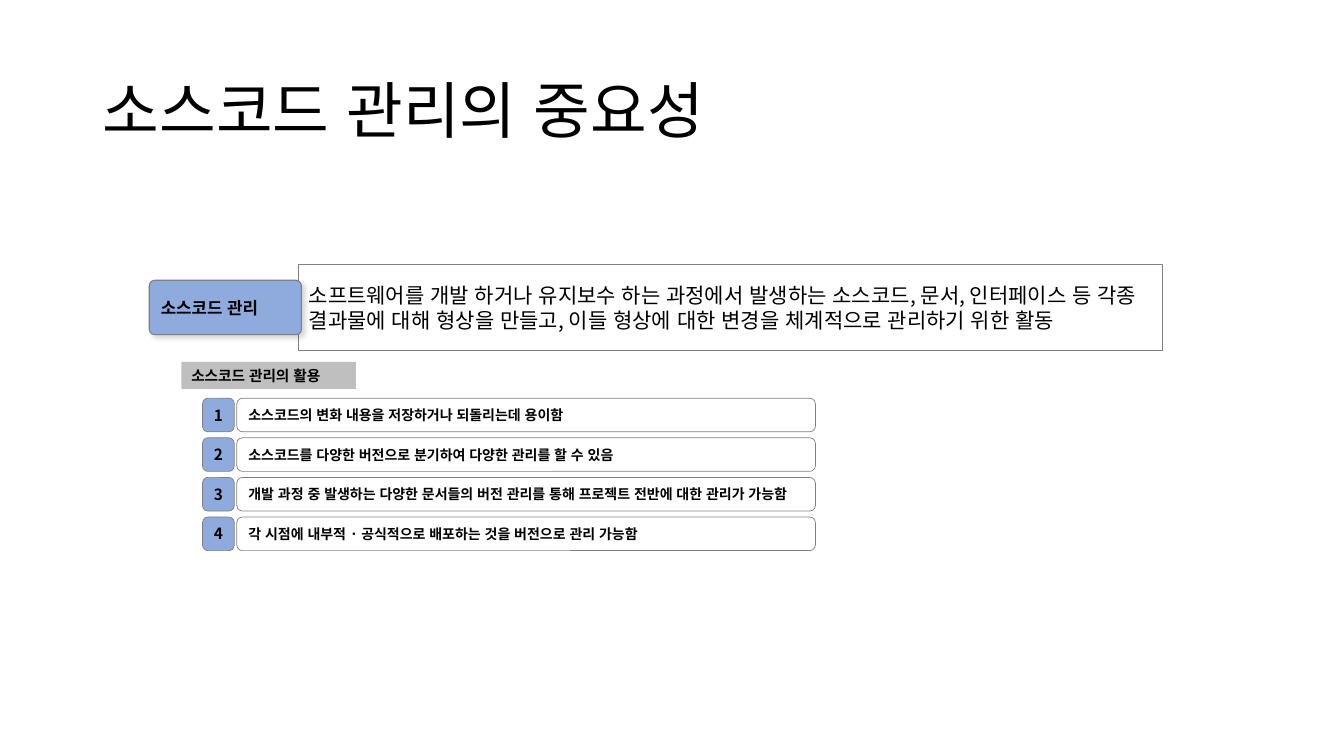
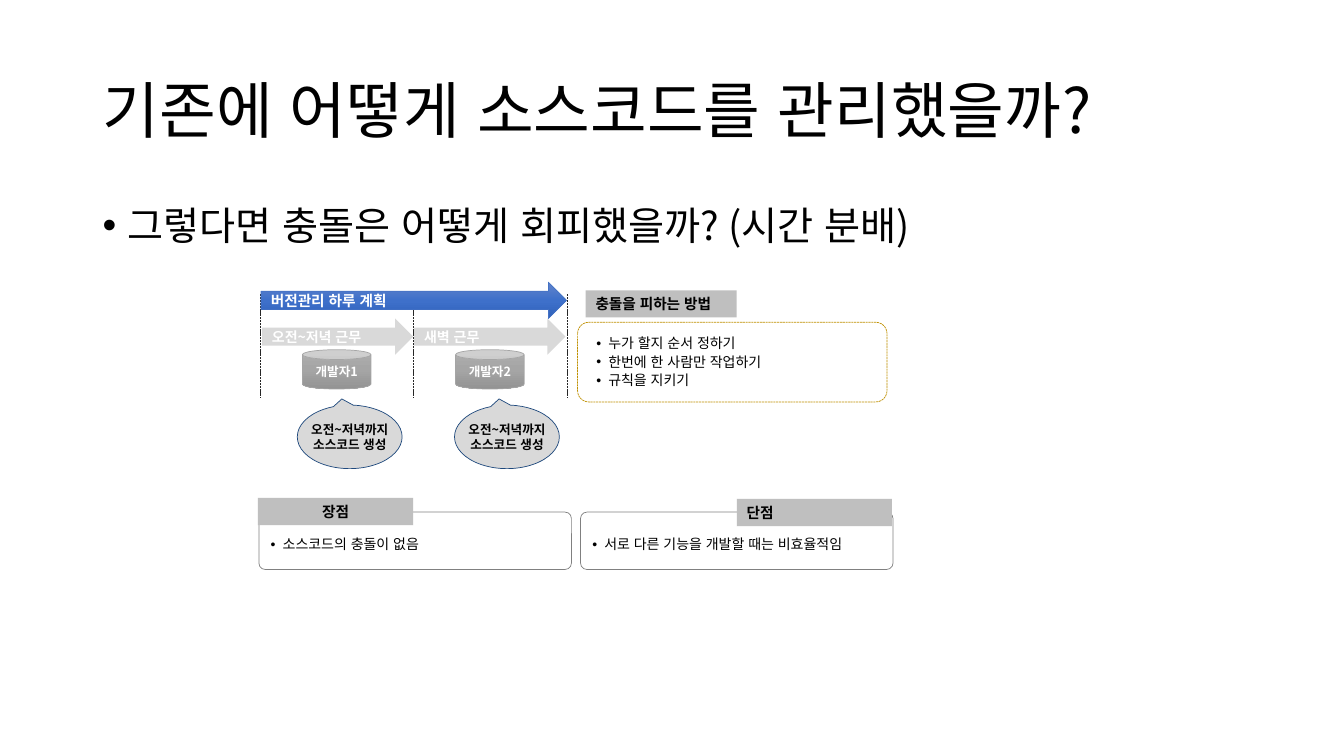
from copy import deepcopy

from lxml.etree import SubElement
from pptx import Presentation
from pptx.dml.color import RGBColor
from pptx.enum.dml import MSO_LINE
from pptx.enum.lang import MSO_LANGUAGE_ID
from pptx.enum.shapes import MSO_CONNECTOR, MSO_SHAPE
from pptx.enum.text import MSO_ANCHOR, MSO_AUTO_SIZE, PP_ALIGN
from pptx.oxml.ns import qn
from pptx.util import Pt

FONT = "Noto Sans CJK KR"
COLORS = {
    "black": "000000", "white": "FFFFFF", "blue": "8FAADC", "outline": "808080",
    "heading": "BFBFBF", "pale": "D9D9D9", "gold": "BF9000", "navy": "1F497D",
    "guide": "262626", "can_line": "A5A5A5", "arrow_line": "4472C4",
}
CAN_GRADIENT = ("AFAFAF", "A5A5A5", "939393")
ARROW_GRADIENT = ("6183CB", "3E70CA", "3062BB")

IMPORTANCE = {
    "title": "소스코드 관리의 중요성",
    "term": "소스코드 관리",
    "definition": "소프트웨어를 개발 하거나 유지보수 하는 과정에서 발생하는 소스코드, 문서, "
                  "인터페이스 등 각종 결과물에 대해 형상을 만들고, 이들 형상에 대한 변경을 "
                  "체계적으로 관리하기 위한 활동",
    "heading": "소스코드 관리의 활용",
    "uses": [
        "소스코드의 변화 내용을 저장하거나 되돌리는데 용이함",
        "소스코드를 다양한 버전으로 분기하여 다양한 관리를 할 수 있음",
        "개발 과정 중 발생하는 다양한 문서들의 버전 관리를 통해 프로젝트 전반에 대한 관리가 가능함",
        "각 시점에 내부적 · 공식적으로 배포하는 것을 버전으로 관리 가능함",
    ],
}
HISTORY = {
    "title": "기존에 어떻게 소스코드를 관리했을까?",
    "question": "그렇다면 충돌은 어떻게 회피했을까? (시간 분배)",
    "plan": "버전관리 하루 계획",
    "heading": "충돌을 피하는 방법",
    "rules": ["누가 할지 순서 정하기", "한번에 한 사람만 작업하기", "규칙을 지키기"],
    "output": ["오전~저녁까지", "소스코드 생성"],
    # shift, developer, left edges of arrow, can and callout
    "shifts": [("오전~저녁 근무", "개발자1", 187.2, 216, 212.4),
               ("새벽 근무", "개발자2", 295.9, 325.4, 324.7)],
    # tab, point, left edge of box, left and top of tab, tab alignment
    "verdicts": [("장점", "소스코드의 충돌이 없음", 185, 184.3, 355.7, PP_ALIGN.CENTER),
                 ("단점", "서로 다른 기능을 개발할 때는 비효율적임", 414.7, 526.3, 356.4,
                  PP_ALIGN.LEFT)],
}


def rgb(name):
    return RGBColor.from_string(COLORS.get(name, name))


def place(sp, x, y, w, h):
    sp.left, sp.top, sp.width, sp.height = Pt(x), Pt(y), Pt(w), Pt(h)


def write(sp, text, size, color="black", bold=False, align=PP_ALIGN.LEFT,
          anchor=MSO_ANCHOR.MIDDLE, wrap=True, spacing=None, before=None,
          bullet=None, margins=(7.2, 3.6, 7.2, 3.6)):
    """Fill a shape with one paragraph per item; bullet is the hanging indent."""
    tf = sp.text_frame
    tf.auto_size = MSO_AUTO_SIZE.NONE
    tf.word_wrap = wrap
    tf.vertical_anchor = anchor
    tf.margin_left, tf.margin_top, tf.margin_right, tf.margin_bottom = map(Pt, margins)
    for i, line in enumerate([text] if isinstance(text, str) else text):
        p = tf.add_paragraph() if i else tf.paragraphs[0]
        p.alignment = align
        if spacing:
            p.line_spacing = spacing
        if before is not None:
            p.space_before = Pt(before)
        if bullet:
            pPr = p._p.get_or_add_pPr()
            pPr.set("marL", str(Pt(bullet)))
            pPr.set("indent", str(-Pt(bullet)))
            SubElement(pPr, qn("a:buFont")).set("typeface", "Arial")
            SubElement(pPr, qn("a:buChar")).set("char", "•")
        r = p.add_run()
        r.text = line
        font = r.font
        font.size, font.bold, font.name = Pt(size), bold, FONT
        font.language_id = MSO_LANGUAGE_ID.KOREAN
        font.color.rgb = rgb(color)
        SubElement(r._r.get_or_add_rPr(), qn("a:ea")).set("typeface", FONT)


def add_box(s, kind, x, y, w, h, fill=None, line=None, width=0.5, adj=()):
    """Add a preset shape; fill is a colour, a triple of gradient stops or None."""
    sp = s.shapes.add_shape(kind, Pt(x), Pt(y), Pt(w), Pt(h))
    sp.shadow.inherit = False
    for i, value in enumerate(adj):
        sp.adjustments[i] = value
    if fill is None:
        sp.fill.background()
    elif isinstance(fill, str):
        sp.fill.solid()
        sp.fill.fore_color.rgb = rgb(fill)
    else:
        sp.fill.gradient()
        sp.fill.gradient_angle = 270
        stops = sp._element.spPr.find(".//" + qn("a:gsLst"))
        stops.insert(1, deepcopy(stops[0]))
        for i, (stop, color) in enumerate(zip(sp.fill.gradient_stops, fill)):
            stop.position = i / 2
            stop.color.rgb = rgb(color)
    if line:
        sp.line.color.rgb = rgb(line)
        sp.line.width = Pt(width)
    else:
        sp.line.fill.background()
    return sp


def add_heading(s, text, x, y, w, align=PP_ALIGN.LEFT):
    sp = add_box(s, MSO_SHAPE.RECTANGLE, x, y, w, 19.4, fill="heading")
    write(sp, text, 10.5, bold=True, align=align)


def add_guide(s, x, top, bottom):
    line = s.shapes.add_connector(MSO_CONNECTOR.STRAIGHT, Pt(x), Pt(top), Pt(x), Pt(bottom))
    line.line.color.rgb = rgb("guide")
    line.line.width = Pt(0.5)
    line.line.dash_style = MSO_LINE.SQUARE_DOT
    SubElement(line._element.spPr, qn("a:effectLst"))


def add_soft_shadow(sp):
    shadow = SubElement(sp._element.spPr.find(qn("a:effectLst")), qn("a:outerShdw"),
                        blurRad=str(Pt(4)), dist=str(Pt(3)), dir="2700000",
                        algn="tl", rotWithShape="0")
    color = SubElement(shadow, qn("a:srgbClr"), val=COLORS["black"])
    SubElement(color, qn("a:alpha"), val="17000")


def new_slide(prs, layout, title):
    s = prs.slides.add_slide(prs.slide_layouts.get_by_name(layout))
    place(s.shapes.title, 66.2, 28.8, 828, 104.4)
    write(s.shapes.title, title, 44, spacing=0.9)
    return s


def build_importance(prs):
    s = new_slide(prs, "Title Only", IMPORTANCE["title"])
    add_heading(s, IMPORTANCE["heading"], 129.6, 258.5, 124.6)
    for i, use in enumerate(IMPORTANCE["uses"]):
        y = 284.4 + 28.3 * i
        sp = add_box(s, MSO_SHAPE.ROUNDED_RECTANGLE, 169.2, y, 413.3, 24, line="outline")
        write(sp, use, 10, bold=True)
        sp = add_box(s, MSO_SHAPE.ROUNDED_RECTANGLE, 144.7, y, 22.6, 24,
                     fill="blue", line="outline")
        write(sp, str(i + 1), 11, bold=True, align=PP_ALIGN.CENTER, margins=(0, 0, 0, 0))
    sp = add_box(s, MSO_SHAPE.RECTANGLE, 213.5, 188.8, 617, 61.7, line="outline", width=0.75)
    write(sp, IMPORTANCE["definition"], 15, margins=(7.2, 3.6, 15, 3.6))
    sp = add_box(s, MSO_SHAPE.ROUNDED_RECTANGLE, 106.6, 200.2, 108.7, 38.9,
                 fill="blue", line="outline", width=0.75, adj=[0.1])
    add_soft_shadow(sp)
    write(sp, IMPORTANCE["term"], 12, bold=True)


def build_history(prs):
    s = new_slide(prs, "Title and Content", HISTORY["title"])
    body = s.placeholders[1]
    place(body, 66.2, 144, 828, 342.7)
    write(body, HISTORY["question"], 28, anchor=MSO_ANCHOR.TOP, spacing=0.9, before=10, bullet=18)

    sp = add_box(s, MSO_SHAPE.ROUNDED_RECTANGLE, 412.6, 230.2, 221, 56.9, line="gold", adj=[0.14])
    sp.line.dash_style = MSO_LINE.SQUARE_DOT
    write(sp, HISTORY["rules"], 10, spacing=1.1, bullet=8.6, margins=(11, 2, 7.2, 3.6))
    add_heading(s, HISTORY["heading"], 418.3, 207.4, 108)

    for i in range(len(HISTORY["shifts"]) + 1):
        add_guide(s, 185.8 + 109.7 * i, 210.2, 283.7)
    for shift, developer, arrow_x, can_x, callout_x in HISTORY["shifts"]:
        sp = add_box(s, MSO_SHAPE.RIGHT_ARROW, arrow_x, 227.5, 108, 25.9, fill="pale")
        write(sp, shift, 10, color="white", bold=True)
        sp = add_box(s, MSO_SHAPE.CAN, can_x, 249.8, 49, 28.1, fill=CAN_GRADIENT, line="can_line")
        write(sp, developer, 9, color="white", bold=True, align=PP_ALIGN.CENTER, wrap=False)
        sp = add_box(s, MSO_SHAPE.OVAL_CALLOUT, callout_x, 289.4, 74.9, 45.4,
                     fill="pale", line="navy", adj=[-0.075, -0.598])
        write(sp, HISTORY["output"], 9, bold=True, align=PP_ALIGN.CENTER, wrap=False)
    sp = add_box(s, MSO_SHAPE.RIGHT_ARROW, 186.5, 201.6, 218.2, 25.9,
                 fill=ARROW_GRADIENT, line="arrow_line")
    write(sp, HISTORY["plan"], 10.5, color="white", bold=True)

    for tab, point, box_x, tab_x, tab_y, align in HISTORY["verdicts"]:
        sp = add_box(s, MSO_SHAPE.ROUNDED_RECTANGLE, box_x, 365.8, 223.2, 41,
                     line="outline", adj=[0.11])
        write(sp, point, 10, anchor=MSO_ANCHOR.TOP, spacing=1.1, bullet=8.6,
              margins=(7.2, 14.5, 7.2, 3.6))
        add_heading(s, tab, tab_x, tab_y, 110.9, align)


def main():
    prs = Presentation()
    prs.slide_width, prs.slide_height = Pt(960), Pt(540)
    build_importance(prs)
    build_history(prs)
    prs.save("out.pptx")


if __name__ == "__main__":
    main()
